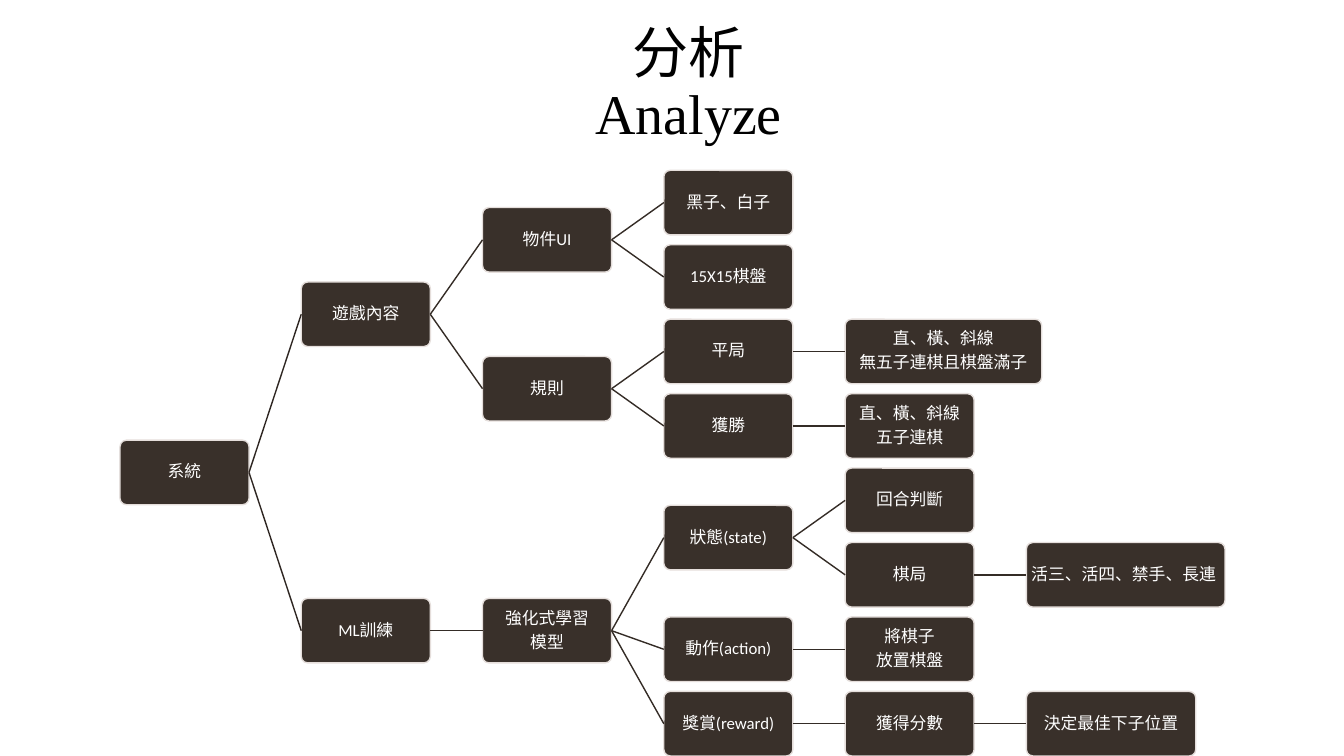
from dataclasses import dataclass

import pptx
import pptx.dml.color
import pptx.enum.shapes
import pptx.enum.text
import pptx.oxml
import pptx.shapes.autoshape
import pptx.slide
import pptx.text.text
import pptx.util

Inches = pptx.util.Inches
Pt = pptx.util.Pt
RGB = pptx.dml.color.RGBColor.from_string
Align = pptx.enum.text.PP_ALIGN


@dataclass(frozen=True)
class Theme:
    box: str = "39302A"
    box_border: str = "E5DEDB"
    box_text: str = "FFFFFF"
    root_branch: str = "2E2622"
    branch: str = "342C26"
    title: str = "000000"
    title_font: str = "Times New Roman"
    box_font: str = "Calibri"
    title_size: float = 40
    box_size: float = 12
    line_width: float = 1


@dataclass(frozen=True)
class Node:
    lines: tuple[str, ...]
    children: tuple["Node", ...] = ()
    width: float = 1.28
    align: Align = Align.CENTER


THEME = Theme()
TREE_LEFT, TREE_TOP = 1.19, 1.69
COLUMN_STEP = (10.18 - TREE_LEFT) / 5
ROW_STEP = (6.86 - TREE_TOP) / 7
BOX_HEIGHT = 0.64
BOX_INSET = 0.03

GAME = Node(("遊戲內容",), (
    Node(("物件UI",), (
        Node(("黑子、白子",)),
        Node(("15X15棋盤",)),
    )),
    Node(("規則",), (
        Node(("平局",), (
            Node(("直、橫、斜線", "無五子連棋且棋盤滿子"), width=1.95),
        )),
        Node(("獲勝",), (
            Node(("直、橫、斜線", "五子連棋")),
        )),
    )),
))
TRAINING = Node(("ML訓練",), (
    Node(("強化式學習", "模型"), (
        Node(("狀態(state)",), (
            Node(("回合判斷",)),
            Node(("棋局",), (
                Node(("活三、活四、禁手、長連",), width=1.97, align=Align.LEFT),
            )),
        )),
        Node(("動作(action)",), (
            Node(("將棋子", "放置棋盤")),
        )),
        Node(("獎賞(reward)",), (
            Node(("獲得分數",), (
                Node(("決定最佳下子位置",), width=1.68),
            )),
        )),
    )),
))
SYSTEM = Node(("系統",), (GAME, TRAINING))


def leaf_count(node: Node) -> int:
    return sum(map(leaf_count, node.children)) or 1


def row_of(node: Node, first_row: int) -> float:
    """Row of a node: halfway between its first and last child."""
    if not node.children:
        return first_row
    last = node.children[-1]
    last_row = first_row + leaf_count(node) - leaf_count(last)
    return (row_of(node.children[0], first_row) + row_of(last, last_row)) / 2


def style_run(r: pptx.text.text._Run, font: str, size: float, color: str) -> None:
    r.font.name = font
    r.font.size = Pt(size)
    r.font.color.rgb = RGB(color)


def add_title(s: pptx.slide.Slide, lines: tuple[str, ...]) -> None:
    title = s.shapes.title
    title.left, title.top = Inches(1.58), Inches(0.1)
    title.width, title.height = Inches(10.5), Inches(1.5)
    tf = title.text_frame
    tf.auto_size = pptx.enum.text.MSO_AUTO_SIZE.NONE
    tf.vertical_anchor = pptx.enum.text.MSO_ANCHOR.MIDDLE
    p = tf.paragraphs[0]
    p.alignment = Align.CENTER
    p.line_spacing = 0.9
    for i, line in enumerate(lines):
        if i:
            p.add_line_break()
        r = p.add_run()
        r.text = line
        style_run(r, THEME.title_font, THEME.title_size, THEME.title)


def add_box(s: pptx.slide.Slide, node: Node, column: int,
            row: float) -> pptx.shapes.autoshape.Shape:
    sp = s.shapes.add_shape(
        pptx.enum.shapes.MSO_SHAPE.ROUNDED_RECTANGLE,
        Inches(TREE_LEFT + column * COLUMN_STEP), Inches(TREE_TOP + row * ROW_STEP),
        Inches(node.width), Inches(BOX_HEIGHT))
    sp.adjustments[0] = 0.1
    sp.shadow.inherit = False
    sp.fill.solid()
    sp.fill.fore_color.rgb = RGB(THEME.box)
    sp.line.color.rgb = RGB(THEME.box_border)
    sp.line.width = Pt(THEME.line_width)
    tf = sp.text_frame
    tf.word_wrap = True
    tf.vertical_anchor = pptx.enum.text.MSO_ANCHOR.MIDDLE
    tf.margin_left = tf.margin_right = Inches(BOX_INSET)
    tf.margin_top = tf.margin_bottom = Inches(BOX_INSET)
    for i, line in enumerate(node.lines):
        p = tf.add_paragraph() if i else tf.paragraphs[0]
        p.alignment = node.align
        p.line_spacing = 0.9
        p.space_after = Pt(0.35 * THEME.box_size)
        r = p.add_run()
        r.text = line
        style_run(r, THEME.box_font, THEME.box_size, THEME.box_text)
    return sp


def add_branch(s: pptx.slide.Slide, parent: pptx.shapes.autoshape.Shape,
               child: pptx.shapes.autoshape.Shape, color: str) -> None:
    line = s.shapes.add_connector(
        pptx.enum.shapes.MSO_CONNECTOR.STRAIGHT, 0, 0, 0, 0)
    line.begin_connect(parent, 3)
    line.end_connect(child, 1)
    line.line.color.rgb = RGB(color)
    line.line.width = Pt(THEME.line_width)
    line._element.spPr.append(pptx.oxml.parse_xml(
        '<a:effectLst xmlns:a="http://schemas.openxmlformats.org/drawingml/2006/main"/>'))


def add_tree(s: pptx.slide.Slide, node: Node, column: int = 0,
             first_row: int = 0) -> pptx.shapes.autoshape.Shape:
    """Draw a node and all below it; return the node's box."""
    box = add_box(s, node, column, row_of(node, first_row))
    for child in node.children:
        child_box = add_tree(s, child, column + 1, first_row)
        add_branch(s, box, child_box, THEME.branch if column else THEME.root_branch)
        first_row += leaf_count(child)
    return box


def main() -> None:
    prs = pptx.Presentation()
    prs.slide_width, prs.slide_height = Inches(13.33), Inches(7.5)
    s = prs.slides.add_slide(prs.slide_layouts.get_by_name("Title Only"))
    add_title(s, ("分析", "Analyze"))
    add_tree(s, SYSTEM)
    prs.save("out.pptx")


if __name__ == "__main__":
    main()
